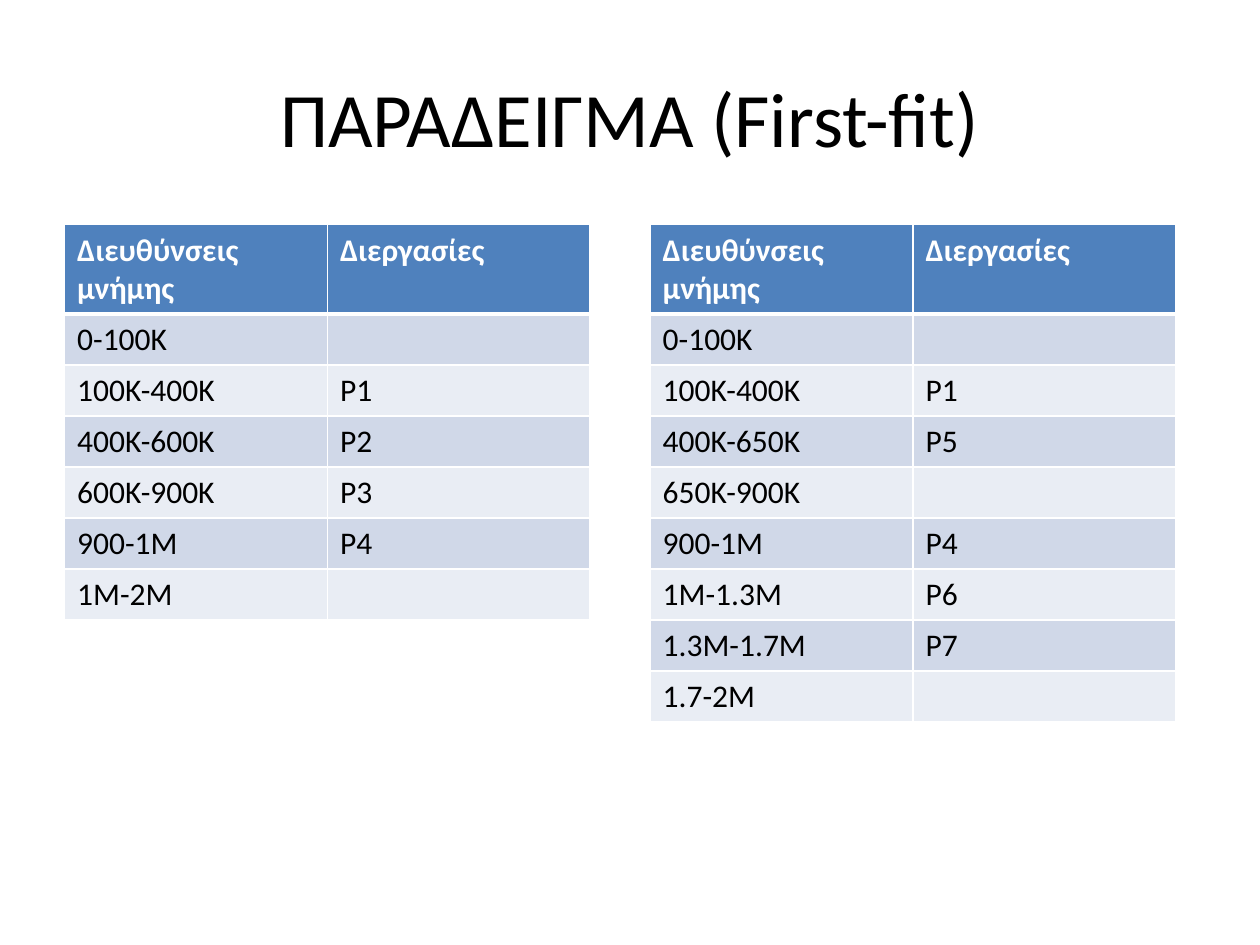
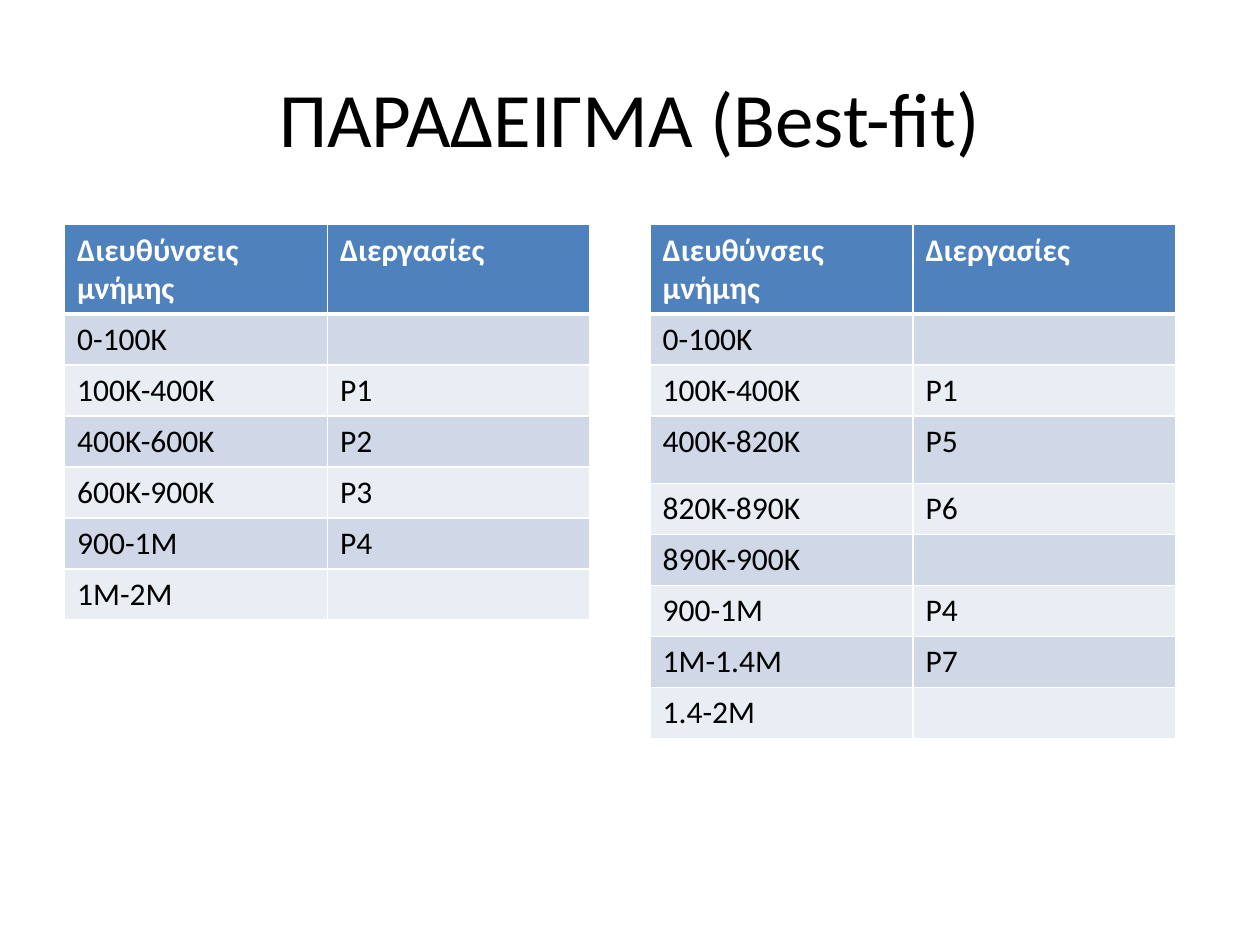
from dataclasses import dataclass

from lxml.etree import SubElement
from pptx import Presentation
from pptx.dml.color import RGBColor as RGB
from pptx.enum.text import MSO_ANCHOR as Anchor, PP_ALIGN as Align
from pptx.oxml.ns import qn
from pptx.util import Pt


@dataclass(frozen=True)
class Theme:
    """Colours, type sizes and line widths shared by the slides."""
    font: str = "Calibri"
    title_size: int = 44
    cell_size: int = 18
    ink: str = "000000"
    paper: str = "FFFFFF"
    header: str = "4F81BD"
    bands: tuple = ("D0D8E8", "E9EDF4")
    rule: int = 1
    header_rule: int = 3


THEME = Theme()
TABLE_TOP, COLUMN_WIDTH = 128.4, 150.2
BEFORE_LEFT, AFTER_LEFT = 36.9, 371.5
HEADER_HEIGHT, ROW_HEIGHT, TALL_ROW_HEIGHT = 51, 29.16, 38.6

HEADINGS = ("Διευθύνσεις μνήμης", "Διεργασίες")
INITIAL_MEMORY = [
    ("0-100Κ", ""), ("100K-400Κ", "P1"), ("400Κ-600Κ", "P2"),
    ("600Κ-900Κ", "P3"), ("900-1M", "P4"), ("1M-2M", ""),
]
FIRST_FIT = [
    ("0-100Κ", ""), ("100K-400Κ", "P1"), ("400Κ-650Κ", "P5"),
    ("650Κ-900Κ", ""), ("900-1M", "P4"), ("1M-1.3Μ", "P6"),
    ("1.3M-1.7M", "P7"), ("1.7-2M", ""),
]
BEST_FIT = [
    ("0-100Κ", ""), ("100K-400Κ", "P1"), ("400Κ-820Κ", "P5"),
    ("820Κ-890Κ", "P6"), ("890K-900K", ""), ("900-1M", "P4"),
    ("1M-1.4Μ", "P7"), ("1.4-2M", ""),
]


def style_font(font, size, colour, bold=False):
    """Apply the theme typeface with a size, colour and weight."""
    font.name, font.size, font.bold = THEME.font, Pt(size), bold
    font.color.rgb = RGB.from_string(colour)


def add_title(slide, wording):
    """Add the centred slide title."""
    frame = slide.shapes.add_textbox(Pt(36), Pt(21.6), Pt(648), Pt(90)).text_frame
    frame.word_wrap = True
    frame.vertical_anchor = Anchor.MIDDLE
    heading = frame.paragraphs[0]
    heading.alignment = Align.CENTER
    run = heading.add_run()
    run.text = wording
    style_font(run.font, THEME.title_size, THEME.ink)


def add_borders(cell, top, bottom):
    """Draw the four cell borders in the paper colour."""
    properties = cell._tc.get_or_add_tcPr()
    widths = {"L": THEME.rule, "R": THEME.rule, "T": top, "B": bottom}
    for side, width in widths.items():
        border = SubElement(properties, qn(f"a:ln{side}"), w=str(Pt(width)))
        fill = SubElement(border, qn("a:solidFill"))
        SubElement(fill, qn("a:srgbClr"), val=THEME.paper)


def fill_cell(cell, wording, row):
    """Style one cell by its row and write its wording."""
    is_header = row == 0
    add_borders(cell,
                top=THEME.header_rule if row == 1 else THEME.rule,
                bottom=THEME.header_rule if is_header else THEME.rule)
    cell.fill.solid()
    background = THEME.header if is_header else THEME.bands[(row - 1) % 2]
    cell.fill.fore_color.rgb = RGB.from_string(background)
    entry = cell.text_frame.paragraphs[0]
    if wording:
        run = entry.add_run()
        run.text = wording
        style_font(run.font, THEME.cell_size,
                   THEME.paper if is_header else THEME.ink, is_header)


def add_memory_table(slide, left, partitions, tall_row=None):
    """Add a table of address ranges and the processes that hold them."""
    rows = [HEADINGS, *partitions]
    heights = [HEADER_HEIGHT] + [ROW_HEIGHT] * len(partitions)
    if tall_row is not None:
        heights[tall_row] = TALL_ROW_HEIGHT
    table = slide.shapes.add_table(
        len(rows), len(HEADINGS), Pt(left), Pt(TABLE_TOP),
        Pt(COLUMN_WIDTH * len(HEADINGS)), Pt(sum(heights))).table
    for column in table.columns:
        column.width = Pt(COLUMN_WIDTH)
    for row, (entries, height) in enumerate(zip(rows, heights)):
        table.rows[row].height = Pt(height)
        for column, wording in enumerate(entries):
            fill_cell(table.cell(row, column), wording, row)


def add_example(deck, method, result, tall_row=None):
    """Add a slide with memory before and after an allocation method."""
    slide = deck.slides.add_slide(deck.slide_layouts[6])
    add_title(slide, f"ΠΑΡΑΔΕΙΓΜΑ ({method})")
    add_memory_table(slide, BEFORE_LEFT, INITIAL_MEMORY)
    add_memory_table(slide, AFTER_LEFT, result, tall_row)


def main():
    """Build and save the presentation."""
    deck = Presentation()
    deck.slide_width, deck.slide_height = Pt(720), Pt(540)
    add_example(deck, "First-fit", FIRST_FIT)
    add_example(deck, "Best-fit", BEST_FIT, tall_row=3)
    deck.save("out.pptx")


if __name__ == "__main__":
    main()
